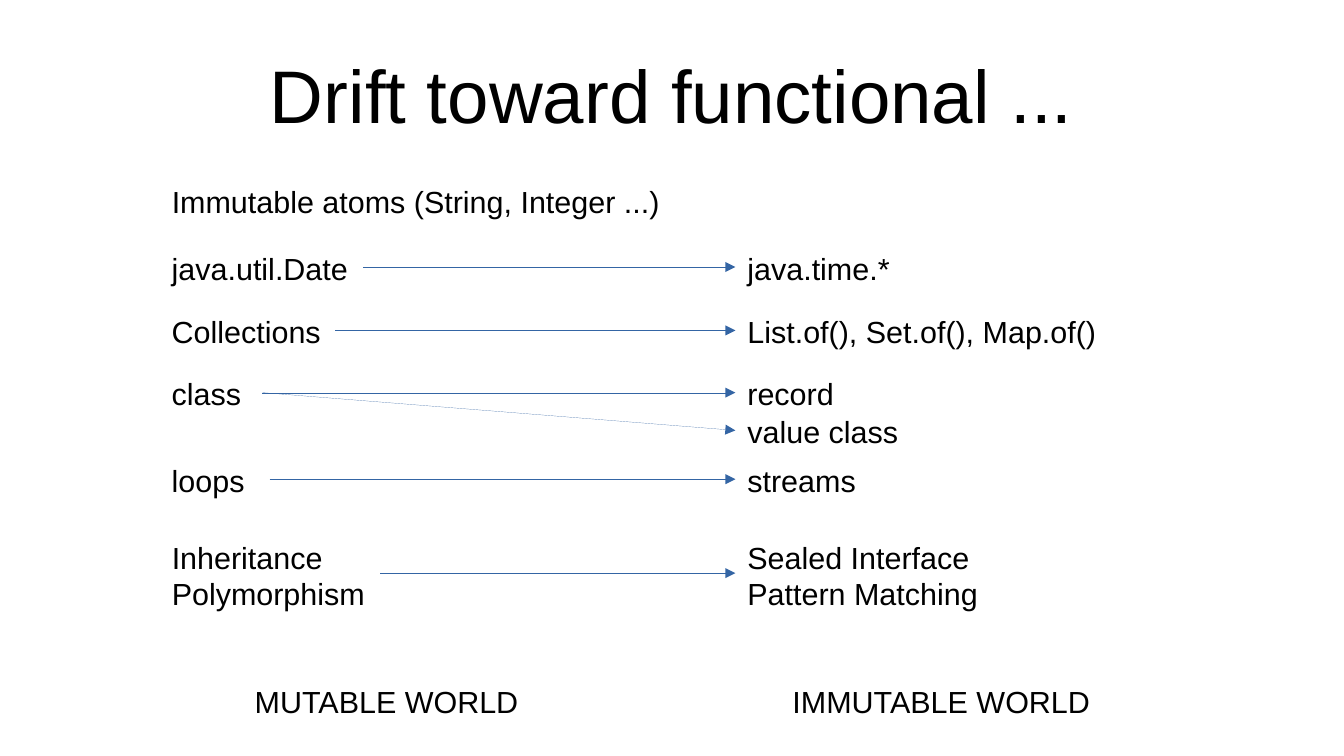
from lxml.etree import SubElement
from pptx import Presentation
from pptx.dml.color import RGBColor
from pptx.enum.shapes import MSO_CONNECTOR
from pptx.enum.text import MSO_ANCHOR, MSO_AUTO_SIZE, PP_ALIGN
from pptx.oxml.ns import qn
from pptx.util import Inches, Pt

COLORS = {"text": "000000", "arrow": "3465A4"}
LEFT, RIGHT = 1.31, 6.03
LINE_HEIGHT, PAIR_HEIGHT = 0.38, 0.66
LEFT_SIDE, RIGHT_SIDE = 1, 3

ROWS = [
    (2, LINE_HEIGHT, ("java.util.Date", 1.67), ("java.time.*", 1.39)),
    (2.52, LINE_HEIGHT, ("Collections", 1.44), ("List.of(), Set.of(), Map.of()", 3.08)),
    (3.03, LINE_HEIGHT, ("class", 0.84), ("record", 1.02)),
    (3.74, LINE_HEIGHT, ("loops", 0.9), ("streams", 1.15)),
    (4.37, PAIR_HEIGHT, ("Inheritance\nPolymorphism", 1.81),
     ("Sealed Interface\nPattern Matching", 2.11)),
]


def set_all(obj, values):
    for name, value in values.items():
        setattr(obj, name, value)


def add_text(s, text, left, top, width, height=LINE_HEIGHT, size=18, **frame):
    sp = s.shapes.add_textbox(Inches(left), Inches(top), Inches(width), Inches(height))
    tf = sp.text_frame
    set_all(tf, {"word_wrap": False, "auto_size": MSO_AUTO_SIZE.SHAPE_TO_FIT_TEXT, **frame})
    p = tf.paragraphs[0]
    p.text = text
    for r in p.runs:
        set_all(r.font, {"name": "Arial", "size": Pt(size)})
        r.font.color.rgb = RGBColor.from_string(COLORS["text"])
    return sp


def add_title(s, text):
    margins = dict.fromkeys(("margin_left", "margin_top", "margin_right", "margin_bottom"), 0)
    sp = add_text(s, text, 0.55, 0.25, 9.92, 1.04, 44, word_wrap=True,
                  auto_size=MSO_AUTO_SIZE.NONE, vertical_anchor=MSO_ANCHOR.MIDDLE, **margins)
    sp.text_frame.paragraphs[0].alignment = PP_ALIGN.CENTER


def add_arrow(s, source, target):
    cxn = s.shapes.add_connector(MSO_CONNECTOR.STRAIGHT, 0, 0, 0, 0)
    cxn.begin_connect(source, RIGHT_SIDE)
    cxn.end_connect(target, LEFT_SIDE)
    cxn.line.color.rgb = RGBColor.from_string(COLORS["arrow"])
    ln = cxn._element.spPr.find(qn("a:ln"))
    ln.set("w", "0")
    SubElement(ln, qn("a:tailEnd"), type="triangle")
    SubElement(cxn._element.spPr, qn("a:effectLst"))


def main():
    prs = Presentation()
    set_all(prs, {"slide_width": Inches(11.02), "slide_height": Inches(6.2)})
    s = prs.slides.add_slide(prs.slide_layouts[6])

    add_title(s, "Drift toward functional ...")
    add_text(s, "Immutable atoms (String, Integer ...)", LEFT, 1.45, 4.22)

    mutable = {}
    for top, height, (old, old_width), (new, new_width) in ROWS:
        mutable[old] = add_text(s, old, LEFT, top, old_width, height)
        immutable = add_text(s, new, RIGHT, top, new_width, height)
        add_arrow(s, mutable[old], immutable)

    value_class = add_text(s, "value class", RIGHT, 3.34, 1.48)
    add_arrow(s, mutable["class"], value_class)

    add_text(s, "MUTABLE WORLD", 1.99, 5.55, 2.38)
    add_text(s, "IMMUTABLE WORLD", 6.4, 5.55, 2.66)

    prs.save("out.pptx")


if __name__ == "__main__":
    main()
